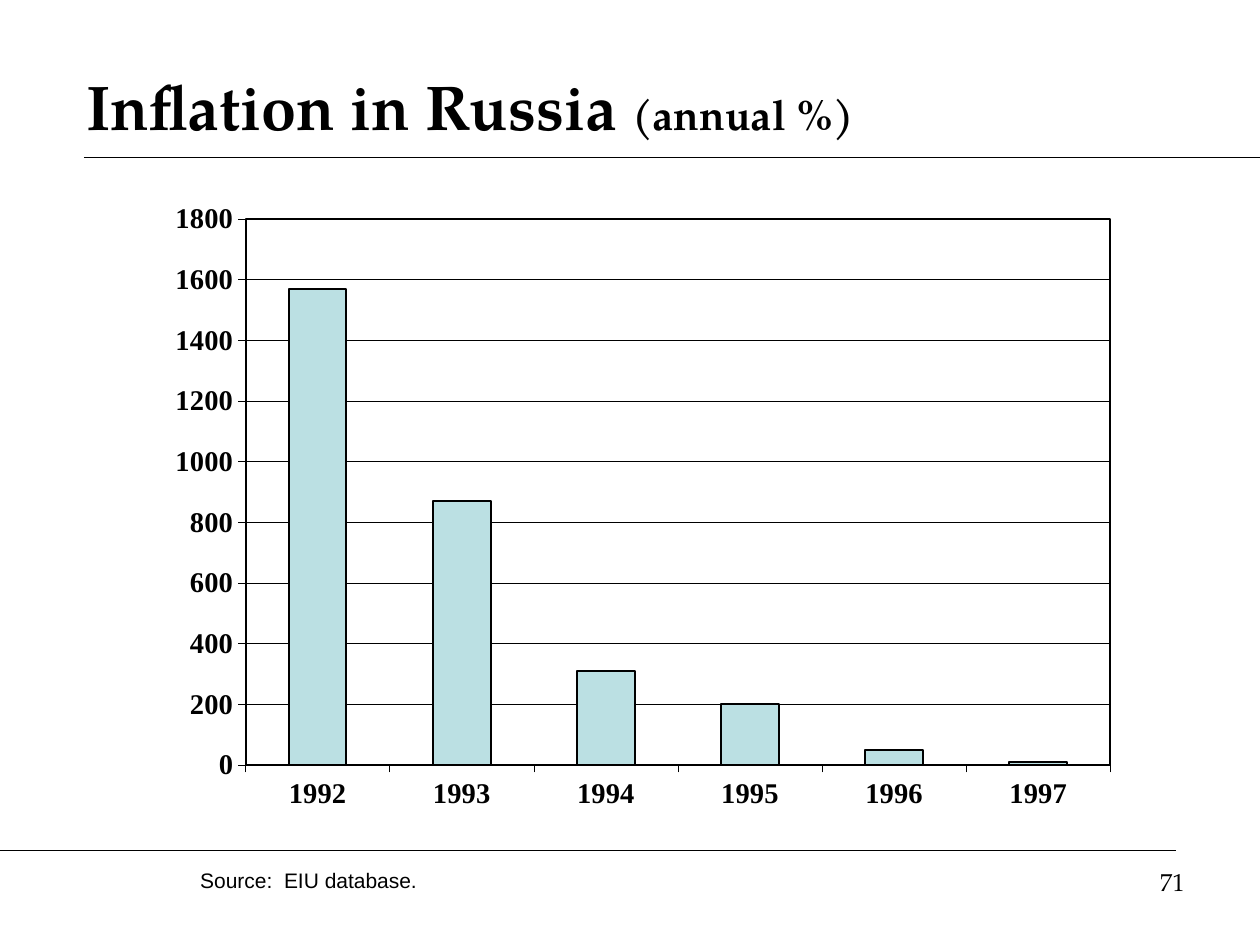
"""Build a slide with a column chart of annual inflation in Russia."""
from dataclasses import dataclass
from typing import NamedTuple

from pptx import Presentation, oxml, util as u
from pptx.chart.data import CategoryChartData
from pptx.dml.color import RGBColor
from pptx.enum import chart as ch, shapes, text
from pptx.oxml import ns

COLS, ROWS = 120, 90
CELL = u.Inches(10) // COLS


class Box(NamedTuple):
    col: float
    row: float
    cols: float
    rows: float


class Rule(NamedTuple):
    start: float
    end: float
    row: float


@dataclass(frozen=True)
class Theme:
    ink: RGBColor = RGBColor(0, 0, 0)
    bar: RGBColor = RGBColor(0xBB, 0xE0, 0xE3)
    heading: str = "TeX Gyre Pagella"
    body: str = "Arial"
    chart: str = "Times New Roman"
    title_size: float = 36
    unit_size: float = 24
    number_size: float = 14
    source_size: float = 12
    axis_size: float = 16.3
    rule_width: float = 0.75
    grid_width: float = 0.29
    bar_width: float = 1.17


THEME = Theme()
RULES = [Rule(8, COLS, 15), Rule(0, 112, 81), Rule(15, COLS, 15), Rule(0, 85, 81)]
INFLATION = {"1992": 1570, "1993": 870, "1994": 310, "1995": 200, "1996": 50, "1997": 10}
PLOT = {"x": 0.09, "y": 0.035, "w": 0.896, "h": 0.855}


def grid(*cells: float) -> list[int]:
    """Turn grid cells into lengths."""
    return [round(n * CELL) for n in cells]


def style_font(font, name: str, size: float, bold: bool = False) -> None:
    """Set the font's face, size, weight and ink."""
    font.name, font.size, font.bold = name, u.Pt(size), bold
    font.color.rgb = THEME.ink


def style_line(line, width: float) -> None:
    """Give a line the ink colour and a width."""
    line.color.rgb = THEME.ink
    line.width = u.Pt(width)


def add_run(p, content: str, *, name: str, size: float, bold: bool = False) -> None:
    """Append a formatted run to a paragraph."""
    r = p.add_run()
    r.text = content
    style_font(r.font, name, size, bold)


def add_label(s, box: Box, content: str, *, name: str, size: float,
              align=text.PP_ALIGN.LEFT) -> None:
    """Add a one-paragraph text box."""
    tf = s.shapes.add_textbox(*grid(*box)).text_frame
    tf.word_wrap = True
    p = tf.paragraphs[0]
    p.alignment = align
    add_run(p, content, name=name, size=size)


def add_rule(s, rule: Rule) -> None:
    """Draw a horizontal rule."""
    line = s.shapes.add_connector(
        shapes.MSO_CONNECTOR.STRAIGHT,
        *grid(rule.start, rule.row, rule.end, rule.row))
    style_line(line.line, THEME.rule_width)
    oxml.ns.qn("a:effectLst")
    line._element.spPr.append(oxml.parse_xml(f"<a:effectLst {ns.nsdecls('a')}/>"))


def set_title(s, box: Box) -> None:
    """Place and fill the title placeholder."""
    sp = s.shapes.title
    sp.left, sp.top, sp.width, sp.height = grid(*box)
    tf = sp.text_frame
    tf.vertical_anchor = text.MSO_ANCHOR.MIDDLE
    p = tf.paragraphs[0]
    p.alignment = text.PP_ALIGN.LEFT
    add_run(p, "Inflation in Russia ", name=THEME.heading, size=THEME.title_size, bold=True)
    add_run(p, "(annual %)", name=THEME.heading, size=THEME.unit_size, bold=True)


def frame_plot(chart) -> None:
    """Fix the inner plot area and outline it."""
    plot_area = chart._chartSpace.chart.plotArea
    for old in plot_area.findall(ns.qn("c:layout")):
        plot_area.remove(old)
    shares = "".join(f'<c:{key} val="{val}"/>' for key, val in PLOT.items())
    plot_area.insert(0, oxml.parse_xml(
        f'<c:layout {ns.nsdecls("c")}><c:manualLayout><c:layoutTarget val="inner"/>'
        f'<c:xMode val="edge"/><c:yMode val="edge"/>{shares}</c:manualLayout></c:layout>'))
    plot_area.append(oxml.parse_xml(
        f'<c:spPr {ns.nsdecls("c", "a")}><a:noFill/><a:ln w="{u.Pt(THEME.bar_width)}">'
        f'<a:solidFill><a:srgbClr val="{THEME.ink}"/></a:solidFill></a:ln></c:spPr>'))


def add_inflation_chart(s, box: Box) -> None:
    """Add the column chart."""
    data = CategoryChartData(number_format="0")
    data.categories = list(INFLATION)
    data.add_series("Series 1", list(INFLATION.values()))
    chart = s.shapes.add_chart(ch.XL_CHART_TYPE.COLUMN_CLUSTERED, *grid(*box), data).chart
    chart.has_legend = chart.has_title = False
    style_font(chart.font, THEME.chart, THEME.axis_size, True)
    for axis in (chart.category_axis, chart.value_axis):
        axis.major_tick_mark = ch.XL_TICK_MARK.OUTSIDE
        axis.minor_tick_mark = ch.XL_TICK_MARK.NONE
        style_font(axis.tick_labels.font, THEME.chart, THEME.axis_size, True)
        style_line(axis.format.line, THEME.grid_width)
    values = chart.value_axis
    values.minimum_scale, values.maximum_scale, values.major_unit = 0, 1800, 200
    values.tick_labels.number_format = "0"
    values.tick_labels.number_format_is_linked = False
    style_line(values.major_gridlines.format.line, THEME.grid_width)
    plot = chart.plots[0]
    plot.gap_width, plot.vary_by_categories = 150, False
    bars = plot.series[0].format
    bars.fill.solid()
    bars.fill.fore_color.rgb = THEME.bar
    style_line(bars.line, THEME.bar_width)
    frame_plot(chart)


def main() -> None:
    """Build and save the slide."""
    prs = Presentation()
    prs.slide_width, prs.slide_height = grid(COLS, ROWS)
    s = prs.slides.add_slide(prs.slide_layouts[5])
    for rule in RULES:
        add_rule(s, rule)
    set_title(s, Box(7, 5, 104, 10))
    add_inflation_chart(s, Box(15.12, 18.72, 91.92, 60.84))
    add_label(s, Box(17.88, 82, 82, 3.6), "Source:  EIU database.",
              name=THEME.body, size=THEME.source_size)
    add_label(s, Box(86, 82, 28, 6.24), "71", name=THEME.heading,
              size=THEME.number_size, align=text.PP_ALIGN.RIGHT)
    prs.save("out.pptx")


if __name__ == "__main__":
    main()
